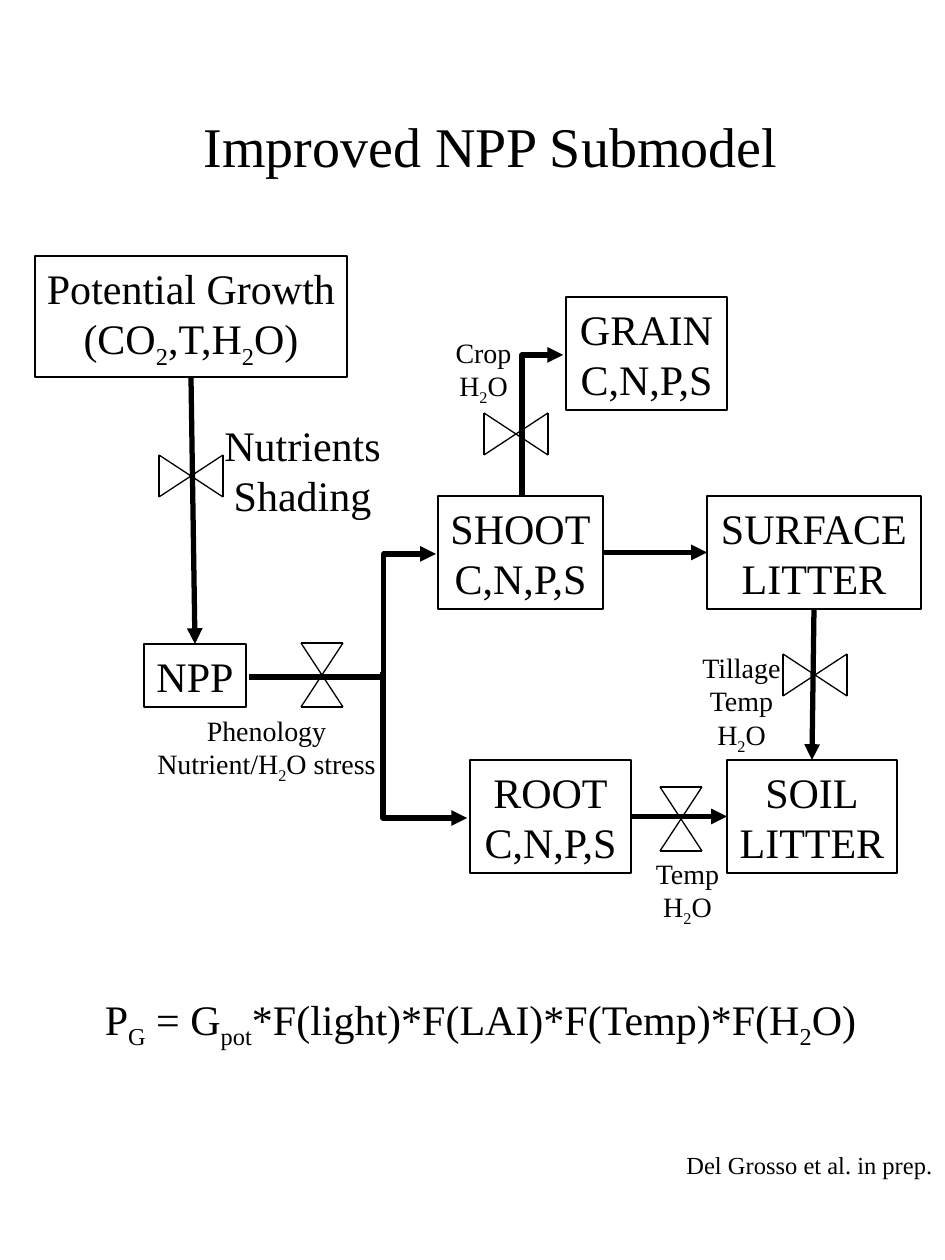
"""Draws the flow diagram of the improved NPP submodel."""
import dataclasses

import lxml.etree
import pptx
import pptx.dml.color
import pptx.enum.shapes
import pptx.enum.text
import pptx.oxml.ns
import pptx.util

LINK = pptx.enum.shapes.MSO_CONNECTOR
ALIGN = pptx.enum.text.PP_ALIGN
TOP, LEFT, BOTTOM, RIGHT = range(4)


@dataclasses.dataclass(frozen=True)
class Theme:
    font: str = "Times New Roman"
    ink: str = "000000"
    title: int = 32
    body: int = 24
    label: int = 16
    cite: int = 14
    thick: float = 3
    frame: float = 1.5
    thin: float = 0.75


THEME = Theme()
INK = pptx.dml.color.RGBColor.from_string(THEME.ink)

BOXES = {
    "growth": (35, 256, 312, 121, "Potential Growth\n(CO~2~,T,H~2~O)"),
    "npp": (144, 644, 102, 63, "NPP"),
    "shoot": (438, 496, 165, 113, "SHOOT\nC,N,P,S"),
    "root": (470, 760, 161, 113, "ROOT\nC,N,P,S"),
    "grain": (566, 297, 161, 113, "GRAIN\nC,N,P,S"),
    "surface": (707, 496, 214, 113, "SURFACE\nLITTER"),
    "soil": (727, 760, 170, 113, "SOIL\nLITTER"),
}
FLOWS = [
    ("growth", BOTTOM, "npp", TOP),
    ("shoot", RIGHT, "surface", LEFT),
    ("surface", BOTTOM, "soil", TOP),
    ("root", RIGHT, "soil", LEFT),
]
BENDS = [((522, 495), (563, 355)), ((383, 672), (467, 818))]
VALVES = [
    (191, 476, False),
    (516, 434, False),
    (815, 675, False),
    (322, 675, True),
    (681, 819, True),
]
NOTES = [
    (212, 413, 181, 113, "Nutrients\nShading", THEME.body),
    (145, 707, 243, 84, "Phenology\nNutrient/H~2~O stress", THEME.label),
    (689, 644, 105, 118, "Tillage\nTemp\nH~2~O", THEME.label),
    (643, 850, 89, 84, "Temp\nH~2~O", THEME.label),
    (443, 329, 81, 84, "Crop\nH~2~O", THEME.label),
    (91, 987, 779, 71,
     "P~G~ = G~pot~*F(light)*F(LAI)*F(Temp)*F(H~2~O)", THEME.body),
]


def px(num):
    return pptx.util.Emu(round(num * 914400 / 126))


def write(shape, text, size, align=ALIGN.CENTER):
    """Fill a shape with lines of text; parts between tildes are subscripts."""
    frame = shape.text_frame
    frame.text = text.replace("~", "")
    frame.word_wrap = False
    frame.auto_size = pptx.enum.text.MSO_AUTO_SIZE.NONE
    frame.vertical_anchor = pptx.enum.text.MSO_ANCHOR.TOP
    for para, line in zip(frame.paragraphs, text.split("\n")):
        para.alignment = align
        parts = line.split("~")
        para.text = parts[0]
        for part in parts[1:]:
            para.add_run().text = part
        for num, run in enumerate(para.runs):
            run.font.name = THEME.font
            run.font.size = pptx.util.Pt(size)
            run.font.color.rgb = INK
            if num % 2:
                run.font._element.set("baseline", "-25000")


def add_title(page, left, top, wide, high, text):
    shape = page.shapes.title
    shape.left, shape.top = px(left), px(top)
    shape.width, shape.height = px(wide), px(high)
    write(shape, text, THEME.title)


def add_note(page, left, top, wide, high, text, size, align=ALIGN.CENTER):
    shape = page.shapes.add_textbox(px(left), px(top), px(wide), px(high))
    write(shape, text, size, align)


def add_box(page, left, top, wide, high, text):
    shape = page.shapes.add_shape(
        pptx.enum.shapes.MSO_SHAPE.RECTANGLE,
        px(left), px(top), px(wide), px(high))
    shape.shadow.inherit = False
    shape.fill.background()
    shape.line.color.rgb = INK
    shape.line.width = pptx.util.Pt(THEME.frame)
    write(shape, text, THEME.body)
    return shape


def add_link(page, start, end, width, kind=LINK.STRAIGHT, arrow=False):
    link = page.shapes.add_connector(kind, *map(px, start + end))
    link.line.color.rgb = INK
    link.line.width = pptx.util.Pt(width)
    if arrow:
        tail = lxml.etree.SubElement(
            link.line._get_or_add_ln(), pptx.oxml.ns.qn("a:tailEnd"))
        tail.set("type", "triangle")
    lxml.etree.SubElement(
        link._element.spPr, pptx.oxml.ns.qn("a:effectLst"))
    return link


def add_flow(page, first, out, last, into):
    link = add_link(page, (0, 0), (0, 0), THEME.thick, arrow=True)
    link.begin_connect(first, out)
    link.end_connect(last, into)


def add_step(page, start, end, share):
    """Draw an arrow with two turns, the first at a share of its width."""
    link = add_link(page, start, end, THEME.thick, LINK.ELBOW, True)
    geom = link._element.spPr.find(pptx.oxml.ns.qn("a:prstGeom"))
    guide = lxml.etree.SubElement(
        geom.get_or_add_avLst(), pptx.oxml.ns.qn("a:gd"))
    guide.set("name", "adj1")
    guide.set("fmla", f"val {round(share * 100000)}")


def add_bend(page, start, end):
    """Draw an arrow that runs up or down, then turns to the right."""
    mid_x, mid_y = (start[0] + end[0]) / 2, (start[1] + end[1]) / 2
    sign = 1 if end[1] < start[1] else -1
    off_x, off_y = sign * (start[1] - mid_y), sign * (mid_x - start[0])
    link = add_link(page, (mid_x + off_x, mid_y + off_y),
                    (mid_x - off_x, mid_y - off_y),
                    THEME.thick, LINK.ELBOW, True)
    props = link._element.spPr
    props.find(pptx.oxml.ns.qn("a:prstGeom")).set("prst", "bentConnector2")
    turn = 90 if sign > 0 else 270
    props.find(pptx.oxml.ns.qn("a:xfrm")).set("rot", str(turn * 60000))


def add_valve(page, mid_x, mid_y, tall):
    """Draw two facing triangles from crossed lines and two end lines."""
    half_x, half_y = (21, 32) if tall else (32, 21)
    nw, ne, sw, se = [(mid_x + x, mid_y + y)
                      for y in (-half_y, half_y) for x in (-half_x, half_x)]
    ends = [(nw, ne), (sw, se)] if tall else [(nw, sw), (ne, se)]
    for start, end in [(nw, se), (sw, ne)] + ends:
        add_link(page, start, end, THEME.thin)


def main():
    deck = pptx.Presentation()
    deck.slide_width, deck.slide_height = px(945), px(1260)
    page = deck.slides.add_slide(deck.slide_layouts[5])
    add_title(page, 190, 105, 601, 81, "Improved NPP Submodel")
    boxes = {name: add_box(page, *spot) for name, spot in BOXES.items()}
    for first, out, last, into in FLOWS:
        add_flow(page, boxes[first], out, boxes[last], into)
    add_step(page, (249, 677), (436, 554), 0.72)
    for start, end in BENDS:
        add_bend(page, start, end)
    for valve in VALVES:
        add_valve(page, *valve)
    for note in NOTES:
        add_note(page, *note)
    add_note(page, 674, 1144, 271, 43, "Del Grosso et al. in prep.",
             THEME.cite, ALIGN.LEFT)
    deck.save("out.pptx")


if __name__ == "__main__":
    main()
